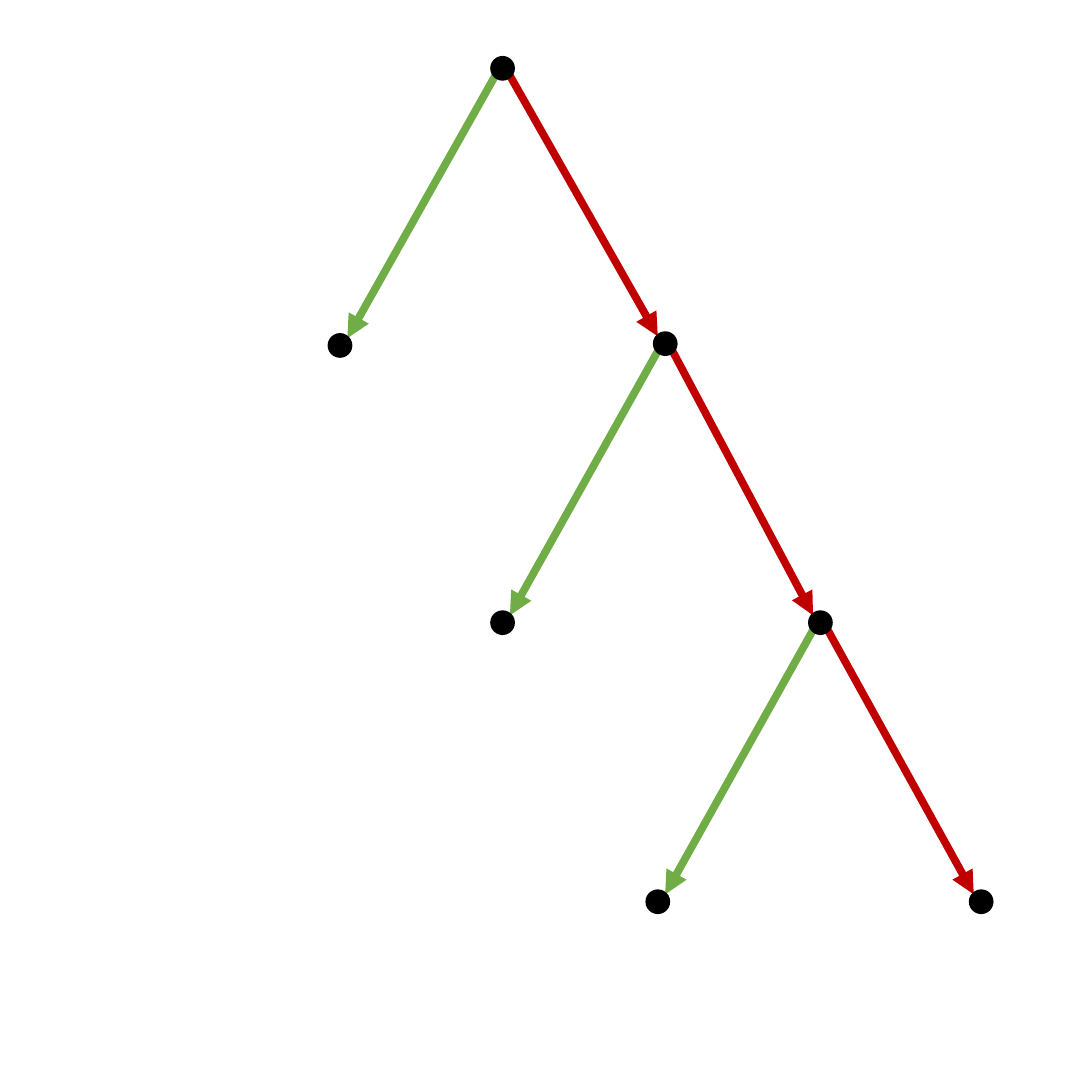
"""Draw a three-level tree with green left and red right arrows."""
from typing import Any, NamedTuple

from lxml import etree
from pptx import Presentation
from pptx import util as u
from pptx.dml.color import RGBColor
from pptx.enum import shapes
from pptx.oxml.ns import qn

SIDE = 5.91
DOT = 0.12
GAP = 0.04
BLACK, GREEN, RED = "000000", "70AD47", "C00000"


class Node(NamedTuple):
    """Centre of a dot in inches."""
    x: float
    y: float


class Edge(NamedTuple):
    """Arrow from a parent to a child."""
    start: Node
    end: Node


ROOT = Node(2.72, 0.37)
UPPER = Node(3.6, 1.86)
LOWER = Node(4.44, 3.37)
LAST = Node(5.31, 4.88)
LEAVES = [Node(1.84, 1.87), Node(2.72, 3.37), Node(3.56, 4.88)]
SPINE = [ROOT, UPPER, LOWER, LAST]
EDGES = [Edge(top, end) for ends in (SPINE[1:], LEAVES)
         for top, end in zip(SPINE, ends)]


def paint(form: Any, color: str) -> None:
    """Set a fill or line format to a solid colour."""
    form.solid()
    form.fore_color.rgb = RGBColor.from_string(color)


def draw_edge(slide: Any, edge: Edge) -> None:
    """Draw an arrow between the rims of two dots."""
    a, b = edge
    right = b.x > a.x
    dx = GAP if right else -GAP
    ends = (a.x + dx, a.y + GAP, b.x - dx, b.y - GAP)
    arrow = slide.shapes.add_connector(
        shapes.MSO_CONNECTOR.STRAIGHT, *map(u.Inches, ends))
    arrow.line.width = u.Pt(3)
    paint(arrow.line.fill, RED if right else GREEN)
    etree.SubElement(arrow.line._get_or_add_ln(), qn("a:tailEnd"), type="triangle")
    etree.SubElement(arrow._element.spPr, qn("a:effectLst"))


def draw_node(slide: Any, node: Node) -> None:
    """Draw a black dot around its centre."""
    box = (node.x - DOT / 2, node.y - DOT / 2, DOT, DOT)
    dot = slide.shapes.add_shape(shapes.MSO_SHAPE.OVAL, *map(u.Inches, box))
    dot.shadow.inherit = False
    paint(dot.fill, BLACK)
    paint(dot.line.fill, BLACK)
    dot.line.width = u.Pt(1)


def main() -> None:
    """Build and save the slide."""
    deck = Presentation()
    deck.slide_width = deck.slide_height = u.Inches(SIDE)
    slide = deck.slides.add_slide(deck.slide_layouts[6])
    for edge in EDGES:
        draw_edge(slide, edge)
    for node in SPINE + LEAVES:
        draw_node(slide, node)
    deck.save("out.pptx")


if __name__ == "__main__":
    main()
